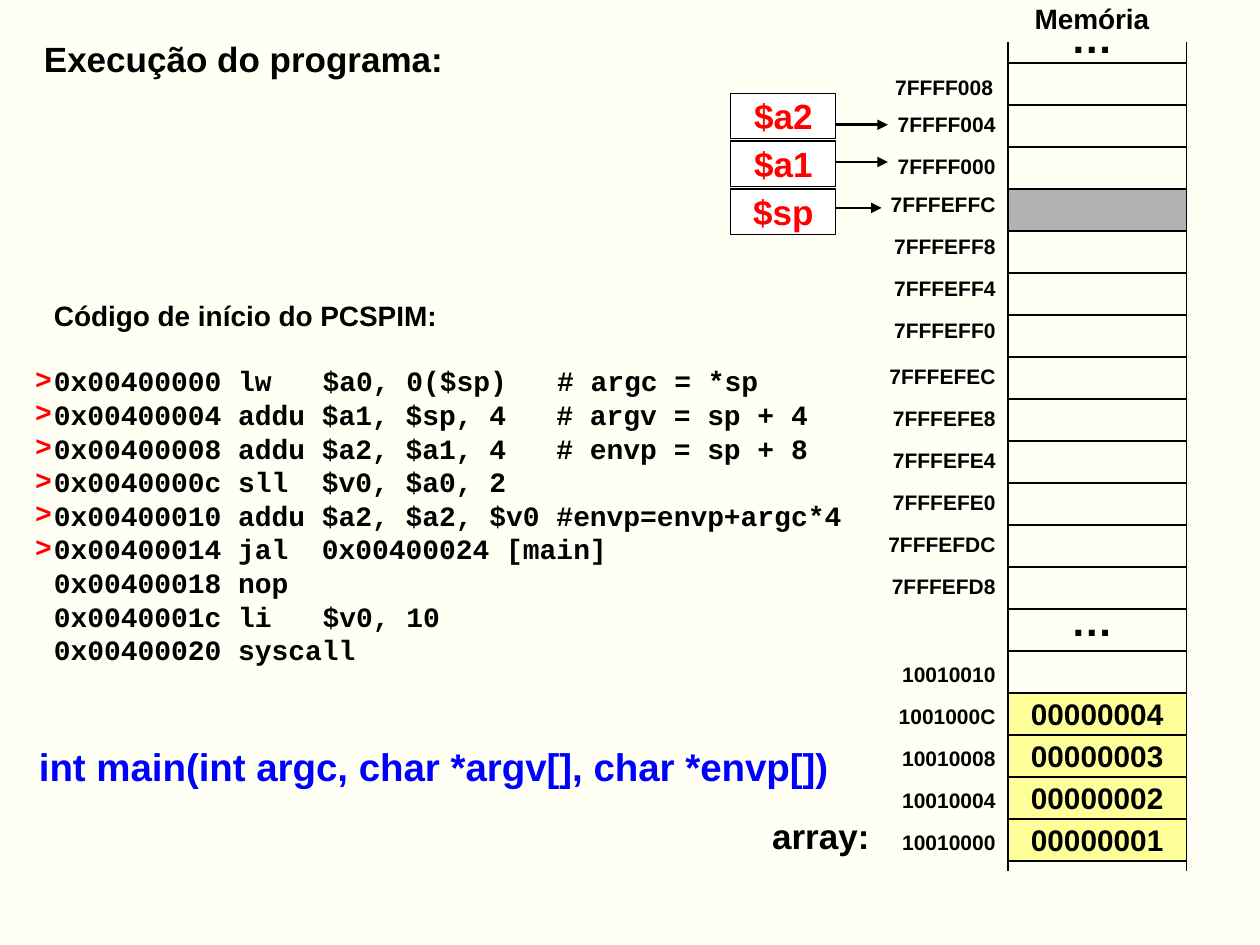
from dataclasses import dataclass
from typing import Optional

from lxml.etree import SubElement
from pptx import Presentation
from pptx.dml.color import RGBColor as RGB
from pptx.enum.shapes import MSO_CONNECTOR as CONN, MSO_SHAPE as SHAPE
from pptx.enum.text import MSO_ANCHOR as ANCHOR, PP_ALIGN as ALIGN
from pptx.oxml.ns import qn
from pptx.util import Pt


@dataclass(frozen=True)
class Theme:
    paper: RGB = RGB(0xFF, 0xFF, 0xF4)
    ink: RGB = RGB(0, 0, 0)
    red: RGB = RGB(0xFF, 0, 0)
    blue: RGB = RGB(0, 0, 0xFF)
    white: RGB = RGB(0xFF, 0xFF, 0xFF)
    grey: RGB = RGB(0xB2, 0xB2, 0xB2)
    yellow: RGB = RGB(0xFF, 0xFF, 0x99)
    sans: str = "Arial"
    mono: str = "Courier New"
    address: float = 12
    body: float = 16
    cell: float = 17
    title: float = 20
    signature: float = 22
    dots: float = 24
    thin: float = 0.75
    arrow: float = 1.5


T = Theme()


@dataclass(frozen=True)
class Box:
    x: float
    y: float
    w: float
    h: float


@dataclass(frozen=True)
class Style:
    size: float
    color: RGB = T.ink
    font: str = T.sans
    align: ALIGN = ALIGN.LEFT


@dataclass(frozen=True)
class Label:
    text: str
    box: Box
    style: Style
    wrap: bool = True


@dataclass(frozen=True)
class AddressRun:
    first: int
    count: int
    top: float
    left: float = 492


@dataclass(frozen=True)
class Register:
    name: str
    top: float
    arrow_x: float
    arrow_y: float


MEM_LEFT, MEM_RIGHT, MEM_TOP, ROW_H, ROW_LINES = 576, 678, 36, 24, 20
MEM_W = MEM_RIGHT - MEM_LEFT

CODE = """0x00400000 lw\t $a0, 0($sp)   # argc = *sp
0x00400004 addu $a1, $sp, 4   # argv = sp + 4
0x00400008 addu $a2, $a1, 4   # envp = sp + 8
0x0040000c sll  $v0, $a0, 2
0x00400010 addu $a2, $a2, $v0 #envp=envp+argc*4
0x00400014 jal  0x00400024 [main]
0x00400018 nop
0x0040001c li\t $v0, 10
0x00400020 syscall"""
EXECUTED = 6

CODE_STYLE = Style(T.body, font=T.mono)
MARK_STYLE = Style(T.body, T.red, T.mono)
ADDRESS_STYLE = Style(T.address, align=ALIGN.RIGHT)
CELL_STYLE = Style(T.cell, align=ALIGN.CENTER)
REGISTER_STYLE = Style(T.title, T.red, align=ALIGN.CENTER)
DOTS_STYLE = Style(T.dots, align=ALIGN.CENTER)

LABELS = [
    Label(CODE, Box(23.76, 204.5, 489, 180), CODE_STYLE),
    Label("\n".join(">" * EXECUTED), Box(13, 203, 489, 142), MARK_STYLE),
    Label("Execução do programa:", Box(18, 18, 312, 31.7), Style(T.title)),
    Label("Código de início do PCSPIM:", Box(23.76, 167, 312, 26.6), Style(T.body)),
    Label("array:", Box(426, 462, 78, 31.7), Style(T.title, align=ALIGN.RIGHT)),
    Label("int main(int argc, char *argv[], char *envp[])",
          Box(15.1, 421.2, 466, 33.8), Style(T.signature, T.blue), False),
    Label("…", Box(570, 336, 108, 36), DOTS_STYLE),
]
ADDRESSES = [
    AddressRun(0x7FFFF008, 1, 38.9, 490.6),
    AddressRun(0x7FFFF004, 2, 60.4),
    AddressRun(0x7FFFEFFC, 4, 105.8),
    AddressRun(0x7FFFEFEC, 6, 204),
    AddressRun(0x10010010, 5, 374.4),
]
REGISTERS = [
    Register("$a2", 53.3, 477.4, 71.3),
    Register("$a1", 80.6, 477.4, 92.6),
    Register("$sp", 108, 473.8, 118.8),
]


def put_text(sp, text: str, style: Style) -> None:
    tf = sp.text_frame
    tf.text = text
    for p in tf.paragraphs:
        p.alignment = style.align
        for r in p.runs:
            r.font.size = Pt(style.size)
            r.font.name = style.font
            r.font.bold = True
            r.font.color.rgb = style.color


def add_label(s, label: Label):
    b = label.box
    sp = s.shapes.add_textbox(Pt(b.x), Pt(b.y), Pt(b.w), Pt(b.h))
    put_text(sp, label.text, label.style)
    sp.text_frame.word_wrap = label.wrap
    return sp


def add_rect(s, b: Box, fill: RGB, text: str = "", style: Optional[Style] = None):
    sp = s.shapes.add_shape(SHAPE.RECTANGLE, Pt(b.x), Pt(b.y), Pt(b.w), Pt(b.h))
    sp.shadow.inherit = False
    sp.fill.solid()
    sp.fill.fore_color.rgb = fill
    sp.line.color.rgb = T.ink
    sp.line.width = Pt(T.thin)
    if style:
        put_text(sp, text, style)
        sp.text_frame.vertical_anchor = ANCHOR.MIDDLE
        sp.text_frame.word_wrap = False
    return sp


def add_line(s, x1: float, y1: float, x2: float, y2: float,
             width: float = T.thin, arrow: bool = False) -> None:
    c = s.shapes.add_connector(CONN.STRAIGHT, Pt(x1), Pt(y1), Pt(x2), Pt(y2))
    c.line.color.rgb = T.ink
    c.line.width = Pt(width)
    if arrow:
        SubElement(c.line._get_or_add_ln(), qn("a:tailEnd"), type="triangle")
    SubElement(c._element.spPr, qn("a:effectLst"))


def add_memory(s) -> None:
    heading = add_label(s, Label("Memória\v…", Box(570, 5.76, 108, 31.7),
                                 Style(T.body, align=ALIGN.CENTER)))
    p = heading.text_frame.paragraphs[0]
    p.line_spacing = 0.5
    p.runs[1].font.size = Pt(T.dots)
    for x in (MEM_LEFT, MEM_RIGHT):
        add_line(s, x, 24, x, 498)
    for i in range(ROW_LINES):
        y = MEM_TOP + i * ROW_H
        add_line(s, MEM_LEFT, y, MEM_RIGHT, y)
    add_rect(s, Box(MEM_LEFT, MEM_TOP + 3 * ROW_H, MEM_W, ROW_H), T.grey)
    for value in range(1, 5):
        y = MEM_TOP + (ROW_LINES - 1 - value) * ROW_H
        add_rect(s, Box(MEM_LEFT, y, MEM_W, ROW_H), T.yellow, f"{value:08d}", CELL_STYLE)
    for run in ADDRESSES:
        for i in range(run.count):
            box = Box(run.left, run.top + i * ROW_H, 84, 21.6)
            add_label(s, Label(f"{run.first - 4 * i:08X}", box, ADDRESS_STYLE))


def add_register(s, reg: Register) -> None:
    add_line(s, reg.arrow_x, reg.arrow_y, reg.arrow_x + 30, reg.arrow_y, T.arrow, True)
    sp = add_rect(s, Box(417.6, reg.top, 60, 25.9), T.white, reg.name, REGISTER_STYLE)
    tf = sp.text_frame
    tf.vertical_anchor = ANCHOR.TOP
    tf.margin_top = tf.margin_bottom = Pt(0.72)


def main() -> None:
    prs = Presentation()
    prs.slide_width, prs.slide_height = Pt(720), Pt(540)
    s = prs.slides.add_slide(prs.slide_layouts[6])
    s.background.fill.solid()
    s.background.fill.fore_color.rgb = T.paper
    add_memory(s)
    for label in LABELS:
        add_label(s, label)
    for reg in REGISTERS:
        add_register(s, reg)
    prs.save("out.pptx")


if __name__ == "__main__":
    main()
